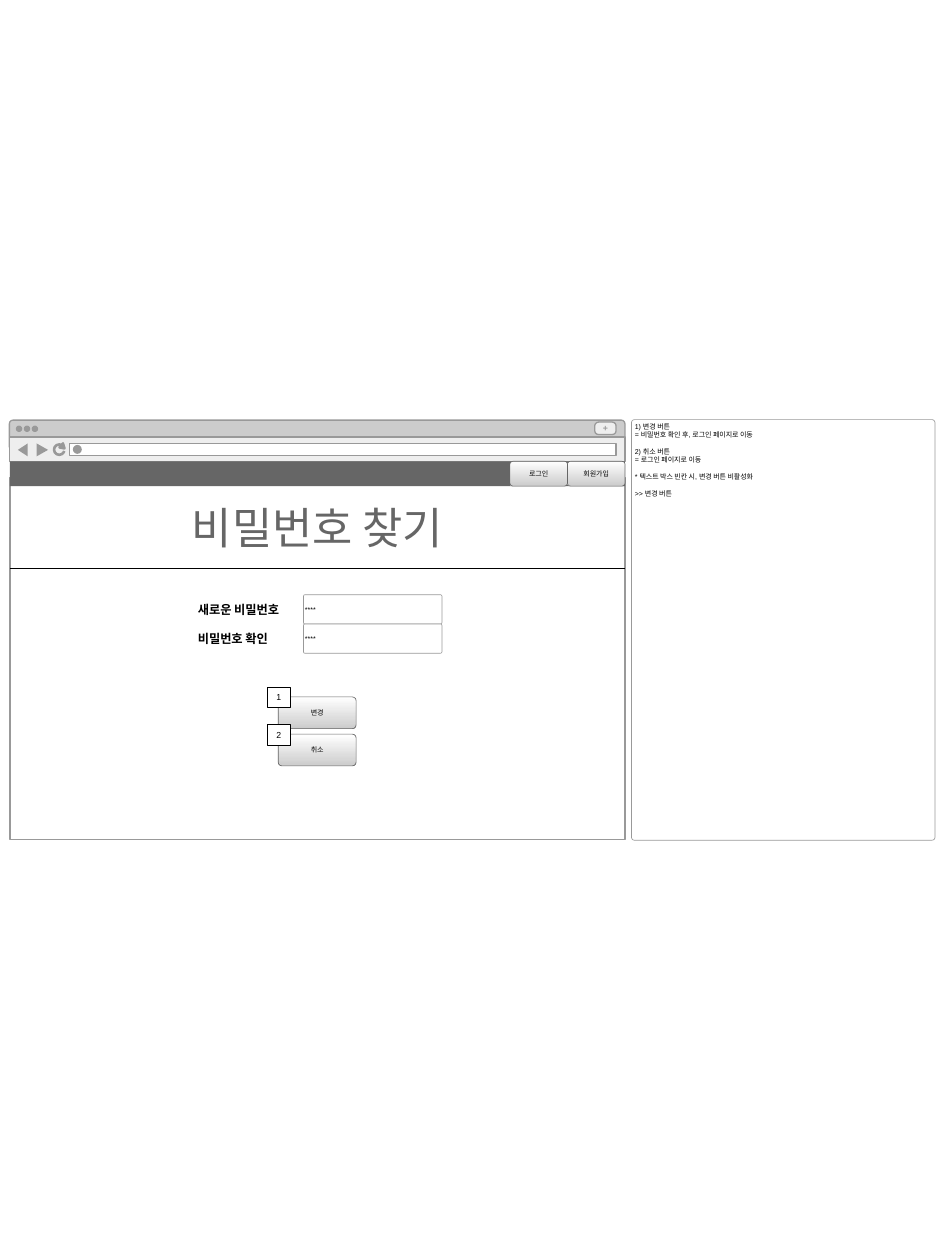
from dataclasses import dataclass

from lxml.etree import SubElement
from pptx import Presentation
from pptx.dml.color import RGBColor
from pptx.enum.shapes import MSO_CONNECTOR, MSO_SHAPE
from pptx.enum.text import MSO_ANCHOR, PP_ALIGN
from pptx.oxml.ns import qn
from pptx.util import Cm, Pt


@dataclass(frozen=True)
class Theme:
    white: RGBColor = RGBColor.from_string("FFFFFF")
    pale: RGBColor = RGBColor.from_string("EEEEEE")
    light: RGBColor = RGBColor.from_string("CCCCCC")
    mid: RGBColor = RGBColor.from_string("999999")
    dark: RGBColor = RGBColor.from_string("666666")
    black: RGBColor = RGBColor.from_string("000000")
    body: str = "Arial"
    display: str = "Cambria"
    small: float = 4
    mark: float = 5
    label: float = 7
    title: float = 25
    hair: float = 0.37
    frame: float = 0.75
    icon: float = 1.47


T = Theme()
RECT, ROUND, OVAL = MSO_SHAPE.RECTANGLE, MSO_SHAPE.ROUNDED_RECTANGLE, MSO_SHAPE.OVAL
BUTTON = (T.white, T.light)

prs = Presentation()
prs.slide_width, prs.slide_height = Cm(19.05), Cm(25.4)
s = prs.slides.add_slide(prs.slide_layouts[6])
shapes = s.shapes


def style(sp, fill=None, line=None, width=T.hair, radius=None):
    """Fill may be one colour, the BUTTON gradient (top, bottom) or None."""
    sp.shadow.inherit = False
    if fill is None:
        sp.fill.background()
    elif fill == BUTTON:
        sp.fill.gradient()
        sp.fill.gradient_angle = 270
        for stop, color in zip(sp.fill.gradient_stops, fill):
            stop.color.rgb = color
    else:
        sp.fill.solid()
        sp.fill.fore_color.rgb = fill
    if line is None:
        sp.line.fill.background()
    else:
        sp.line.color.rgb = line
        sp.line.width = Pt(width)
    if radius is not None:
        sp.adjustments[0] = radius
    return sp


def write(sp, text, size=T.small, color=T.black, font=T.body, bold=False,
          align=PP_ALIGN.CENTER, anchor=MSO_ANCHOR.MIDDLE, inset=0):
    """Each line is a paragraph; a blank line becomes space before the next."""
    tf = sp.text_frame
    tf.word_wrap = True
    tf.vertical_anchor = anchor
    tf.margin_left = tf.margin_right = Cm(inset)
    tf.margin_top = tf.margin_bottom = 0
    p = tf.paragraphs[0]
    for i, block in enumerate(text.split("\n\n")):
        for j, row in enumerate(block.split("\n")):
            if i or j:
                p = tf.add_paragraph()
            if i and not j:
                p.space_before = Pt(4.8)
            p.add_run().text = row
            p.alignment = align
            p.font.name, p.font.size, p.font.bold = font, Pt(size), bold
            p.font.color.rgb = color


# Browser window: title bar, page area, new-tab button
style(shapes.add_shape(ROUND, Cm(0.19), Cm(8.47), Cm(12.41), Cm(0.61)),
      T.light, T.mid, T.frame, 0.12)
style(shapes.add_shape(RECT, Cm(0.2), Cm(9.62), Cm(12.4), Cm(7.31)),
      T.white, T.mid, T.frame)
tab = style(shapes.add_shape(ROUND, Cm(11.99), Cm(8.51), Cm(0.43), Cm(0.25)),
            T.pale, T.mid, T.frame, 0.3)
write(tab, "+", T.mark, T.mid, bold=True)
for i in range(3):
    style(shapes.add_shape(OVAL, Cm(0.32 + 0.16 * i), Cm(8.58), Cm(0.13), Cm(0.13)), T.mid)

# Toolbar with address field
style(shapes.add_shape(RECT, Cm(0.19), Cm(8.81), Cm(12.41), Cm(0.49)),
      T.pale, T.mid, T.frame)
style(shapes.add_shape(RECT, Cm(1.4), Cm(8.94), Cm(11.02), Cm(0.25)),
      T.white, T.mid, T.frame)
style(shapes.add_shape(OVAL, Cm(1.47), Cm(8.97), Cm(0.18), Cm(0.18)), T.mid)

# Toolbar icons: back, forward, reload
arc = style(shapes.add_shape(MSO_SHAPE.ARC, Cm(1.09), Cm(8.96), Cm(0.21), Cm(0.21)),
            None, T.mid, T.icon)
arc.adjustments[0], arc.adjustments[1] = 15 * 0.6, 340 * 0.6
for points, line in (
    ([(0.36, 9.07), (0.56, 8.94), (0.56, 9.2)], None),
    ([(0.97, 9.07), (0.74, 9.2), (0.74, 8.94)], None),
    ([(1.3, 9.04), (1.2, 9.02), (1.27, 8.94)], T.mid),
):
    corners = [(Cm(x), Cm(y)) for x, y in points]
    builder = shapes.build_freeform(*corners[0])
    builder.add_line_segments(corners[1:], close=True)
    style(builder.convert_to_shape(), T.mid, line, T.icon)

# Description panel
style(shapes.add_shape(ROUND, Cm(12.73), Cm(8.46), Cm(6.12), Cm(8.48)),
      T.white, T.mid, radius=0.01)
write(shapes.add_textbox(Cm(12.8), Cm(8.51), Cm(5.99), Cm(1.52)),
      "1) 변경 버튼\n= 비밀번호 확인 후, 로그인 페이지로 이동\n\n"
      "2) 취소 버튼\n= 로그인 페이지로 이동\n\n"
      "* 텍스트 박스 빈칸 시, 변경 버튼 비활성화\n\n"
      ">> 변경 버튼",
      align=PP_ALIGN.LEFT, anchor=MSO_ANCHOR.TOP)

# Password fields with labels
for i, label in enumerate(("새로운 비밀번호", "비밀번호 확인")):
    y = 11.99 + 0.59 * i
    write(shapes.add_textbox(Cm(3.99), Cm(y + 0.15), Cm(2.03), Cm(0.3)),
          label, T.label, bold=True, align=PP_ALIGN.LEFT)
    field = style(shapes.add_shape(ROUND, Cm(6.12), Cm(y), Cm(2.79), Cm(0.59)),
                  T.white, T.mid, radius=0.05)
    write(field, "****", align=PP_ALIGN.LEFT, inset=0.02)

# Divider under the title
divider = shapes.add_connector(MSO_CONNECTOR.STRAIGHT, Cm(0.2), Cm(11.45), Cm(12.6), Cm(11.45))
divider.line.color.rgb = T.black
divider.line.width = Pt(T.hair)
SubElement(divider._element.spPr, qn("a:effectLst"))

# Site header and page title
style(shapes.add_shape(RECT, Cm(0.2), Cm(9.3), Cm(12.4), Cm(0.5)), T.dark)
write(shapes.add_textbox(Cm(0.2), Cm(10.09), Cm(12.4), Cm(1.07)), "비밀번호 찾기",
      T.title, T.dark, T.display, anchor=MSO_ANCHOR.TOP)

# Header and form buttons
for text, x, y, w, h in (
    ("로그인", 10.28, 9.3, 1.16, 0.5),
    ("회원가입", 11.44, 9.3, 1.16, 0.5),
    ("변경", 5.61, 14.05, 1.57, 0.64),
    ("취소", 5.61, 14.8, 1.57, 0.64),
):
    write(style(shapes.add_shape(ROUND, Cm(x), Cm(y), Cm(w), Cm(h)),
                BUTTON, T.dark, radius=0.12), text)

# Numbered markers on the form buttons
for i in range(2):
    marker = style(shapes.add_shape(RECT, Cm(5.39), Cm(13.85 + 0.75 * i), Cm(0.46), Cm(0.42)),
                   T.white, T.black)
    write(marker, str(i + 1), T.mark)

prs.save("out.pptx")
